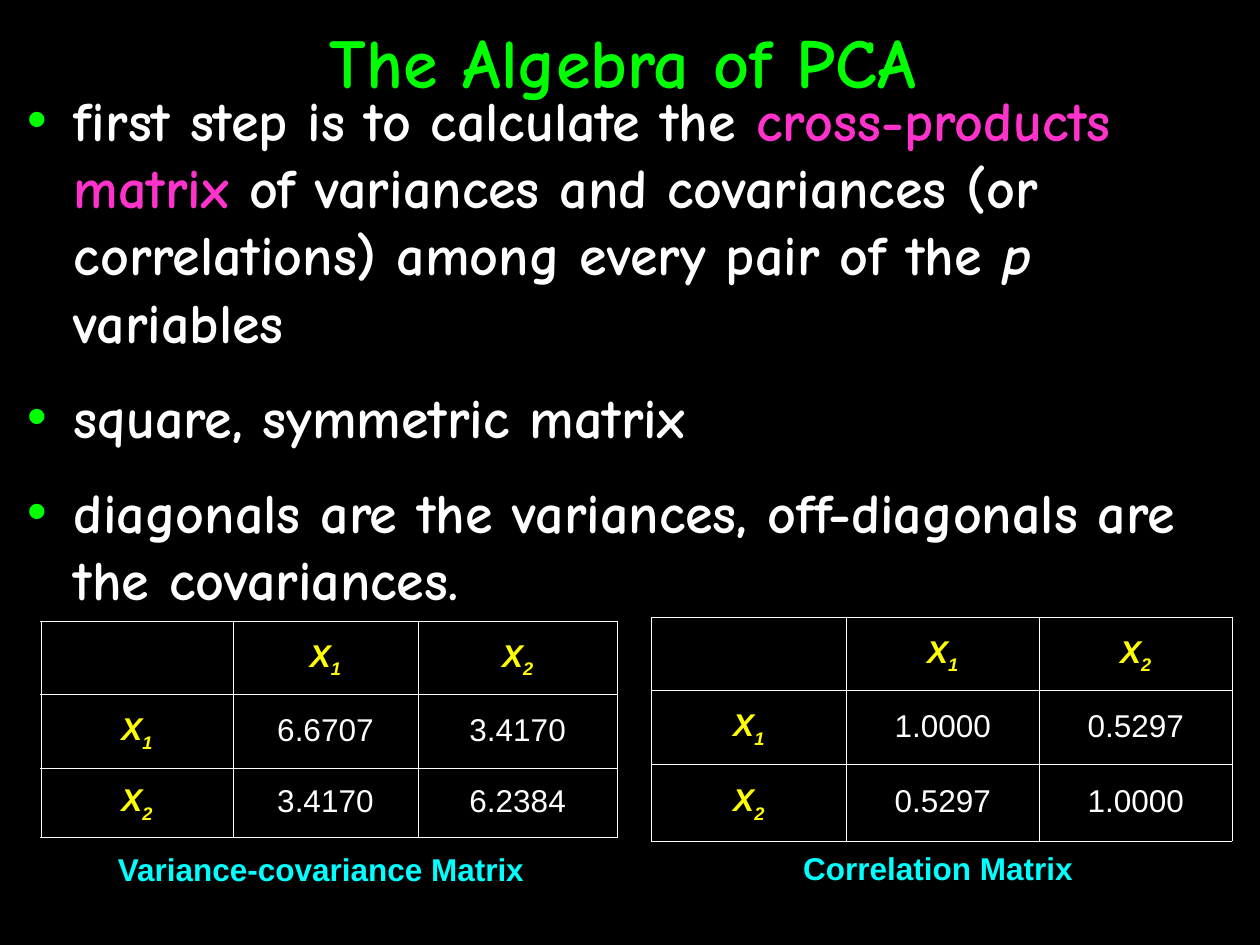
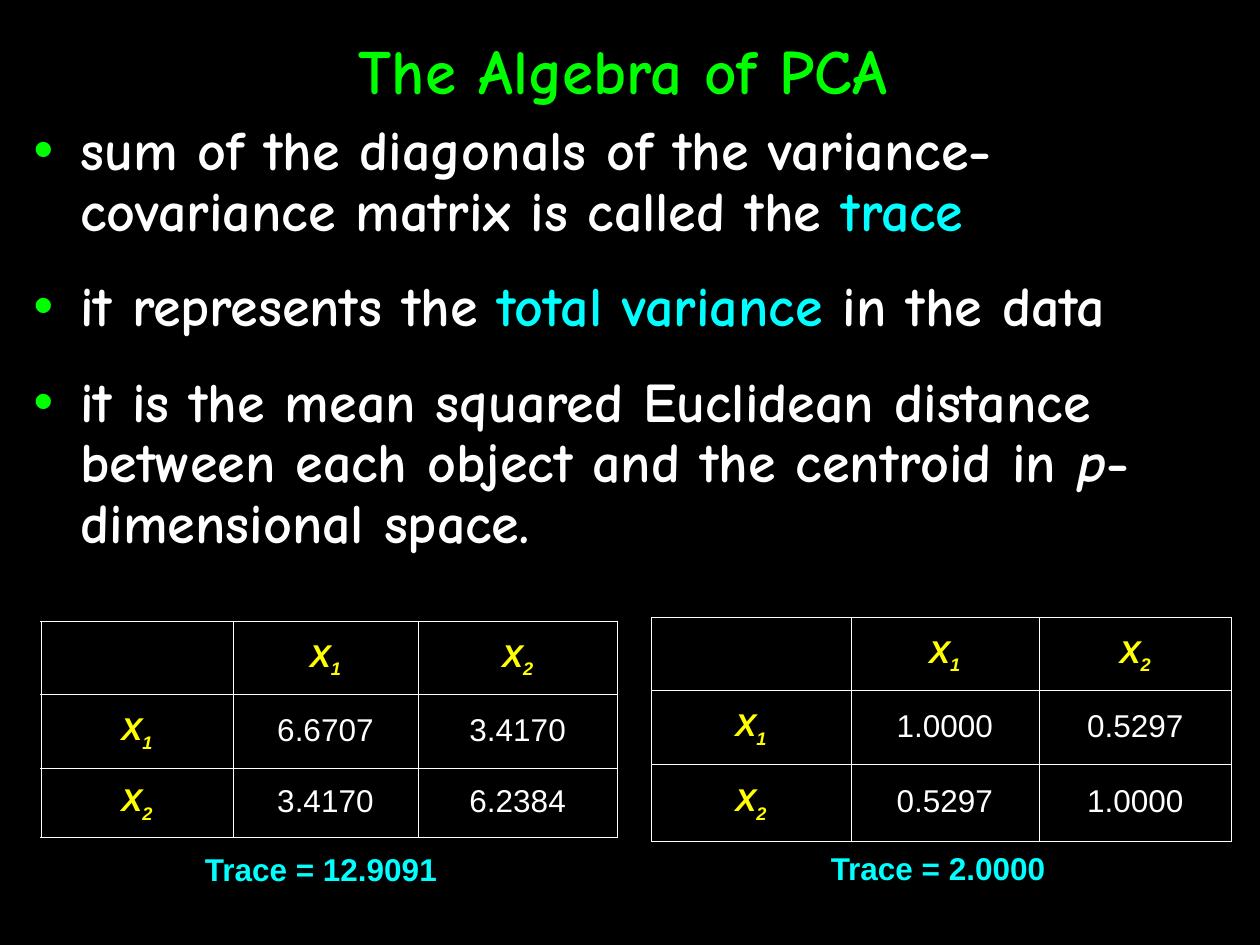
from lxml.etree import SubElement
from pptx import Presentation
from pptx.dml.color import RGBColor
from pptx.enum.text import MSO_ANCHOR, MSO_AUTO_SIZE, PP_ALIGN
from pptx.oxml.ns import qn
from pptx.util import Cm, Pt

BLACK = RGBColor(0x00, 0x00, 0x00)
WHITE = RGBColor(0xFF, 0xFF, 0xFF)
GREEN = RGBColor(0x00, 0xFF, 0x00)
PINK = RGBColor(0xFF, 0x33, 0xCC)
CYAN = RGBColor(0x00, 0xFF, 0xFF)
YELLOW = RGBColor(0xFF, 0xFF, 0x00)
HEADING_FONT = "Comic Neue"
TABLE_FONT = "Arial"
BODY_INDENT = Cm(0.94)
CAPTION_HEIGHT = 1.02

covariances = {
    "left": 0.82, "top": 12.52, "rows": [1.48, 1.48, 1.39],
    "values": [["6.6707", "3.4170"], ["3.4170", "6.2384"]],
    "caption_center": 6.47, "caption_top": 17.02,
}
correlations = {
    "left": 13.13, "top": 12.44, "rows": [1.48, 1.48, 1.55],
    "values": [["1.0000", "0.5297"], ["0.5297", "1.0000"]],
    "caption_center": 18.91, "caption_top": 17,
}
covariance_columns = [3.88, 3.72, 4.03]

slides = [
    {
        "title_size": 40, "title_height": 2.64,
        "body": (0.3, 1.6, 24.97, 16.31),
        "line_spacing": 1.0, "space_before": [20, 16, 16],
        "bullets": [
            [("first step is to calculate the ", WHITE, False),
             ("cross-products matrix", PINK, False),
             (" of variances and covariances (or correlations) among every pair of the ", WHITE, False),
             ("p", WHITE, True),
             (" variables", WHITE, False)],
            [("square, symmetric matrix", WHITE, False)],
            [("diagonals are the variances, off-diagonals are the covariances.", WHITE, False)],
        ],
        "matrices": [
            (covariances, covariance_columns, "Variance-covariance Matrix", 8.74),
            (correlations, [3.93, 3.89, 3.89], "Correlation Matrix", 5.94),
        ],
    },
    {
        "title_size": 36, "title_height": 3,
        "body": (0.43, 2.34, 24.97, 10.59),
        "line_spacing": 0.9, "space_before": [20, 20, 20],
        "bullets": [
            [("sum of the diagonals of the variance-covariance matrix is called the ", WHITE, False),
             ("trace", CYAN, False)],
            [("it represents the ", WHITE, False),
             ("total variance", CYAN, False),
             (" in the data", WHITE, False)],
            [("it is the mean squared Euclidean distance between each object and the centroid in ", WHITE, False),
             ("p", WHITE, True),
             ("-dimensional space.", WHITE, False)],
        ],
        "matrices": [
            (covariances, covariance_columns, "Trace = 12.9091", 5.2),
            (correlations, [4.02, 3.79, 3.89], "Trace = 2.0000", 4.85),
        ],
    },
]


def add_run(paragraph, text, font_name, size, color, bold=True, italic=False):
    run = paragraph.add_run()
    run.text = text
    run.font.name = font_name
    run.font.size = Pt(size)
    run.font.color.rgb = color
    run.font.bold = bold
    run.font.italic = italic
    return run


def add_text_frame(slide, left, top, width, height, wrap=True):
    text_box = slide.shapes.add_textbox(Cm(left), Cm(top), Cm(width), Cm(height))
    text_box.text_frame.word_wrap = wrap
    return text_box.text_frame


presentation = Presentation()
presentation.slide_width = Cm(25.4)
presentation.slide_height = Cm(19.05)

for content in slides:
    slide = presentation.slides.add_slide(presentation.slide_layouts[6])
    slide.background.fill.solid()
    slide.background.fill.fore_color.rgb = BLACK

    title_frame = add_text_frame(slide, 0.1, -0.1, 24.92, content["title_height"])
    title_frame.vertical_anchor = MSO_ANCHOR.MIDDLE
    title = title_frame.paragraphs[0]
    title.alignment = PP_ALIGN.CENTER
    add_run(title, "The Algebra of PCA", HEADING_FONT, content["title_size"], GREEN)

    body_frame = add_text_frame(slide, *content["body"])
    for index, (bullet, space) in enumerate(zip(content["bullets"], content["space_before"])):
        paragraph = body_frame.add_paragraph() if index else body_frame.paragraphs[0]
        paragraph.line_spacing = content["line_spacing"]
        paragraph.space_before = Pt(space)
        properties = paragraph._p.get_or_add_pPr()
        properties.set("marL", str(BODY_INDENT))
        properties.set("indent", str(-BODY_INDENT))
        bullet_color = SubElement(properties, qn("a:buClr"))
        SubElement(bullet_color, qn("a:srgbClr"), val=str(GREEN))
        SubElement(properties, qn("a:buFont"), typeface=TABLE_FONT)
        SubElement(properties, qn("a:buChar"), char="•")
        for text, color, italic in bullet:
            add_run(paragraph, text, HEADING_FONT, 32, color, italic=italic)

    for matrix, columns, caption, caption_width in content["matrices"]:
        rows = matrix["rows"]
        table = slide.shapes.add_table(
            len(rows), len(columns), Cm(matrix["left"]), Cm(matrix["top"]),
            Cm(sum(columns)), Cm(sum(rows))).table
        table.first_row = False
        table.horz_banding = False
        for column, width in zip(table.columns, columns):
            column.width = Cm(width)
        for row_index, height in enumerate(rows):
            table.rows[row_index].height = Cm(height)
            for column_index in range(len(columns)):
                cell = table.cell(row_index, column_index)
                cell.vertical_anchor = MSO_ANCHOR.MIDDLE
                cell_properties = cell._tc.get_or_add_tcPr()
                for side in ("a:lnL", "a:lnR", "a:lnT", "a:lnB"):
                    border = SubElement(cell_properties, qn(side), w=str(Pt(0.23)))
                    border_fill = SubElement(border, qn("a:solidFill"))
                    SubElement(border_fill, qn("a:srgbClr"), val=str(WHITE))
                cell.fill.background()
                paragraph = cell.text_frame.paragraphs[0]
                paragraph.alignment = PP_ALIGN.CENTER
                paragraph.line_spacing = 0.93
                if row_index and column_index:
                    value = matrix["values"][row_index - 1][column_index - 1]
                    add_run(paragraph, value, TABLE_FONT, 18, WHITE, bold=False)
                elif row_index or column_index:
                    add_run(paragraph, "X", TABLE_FONT, 18, YELLOW, italic=True)
                    subscript = add_run(paragraph, str(row_index + column_index),
                                        TABLE_FONT, 18, YELLOW, italic=True)
                    baseline = "-30000" if row_index else "-25000"
                    subscript.font._element.set("baseline", baseline)

        caption_frame = add_text_frame(
            slide, matrix["caption_center"] - caption_width / 2, matrix["caption_top"],
            caption_width, CAPTION_HEIGHT, wrap=False)
        caption_frame.auto_size = MSO_AUTO_SIZE.SHAPE_TO_FIT_TEXT
        caption_paragraph = caption_frame.paragraphs[0]
        caption_paragraph.alignment = PP_ALIGN.CENTER
        add_run(caption_paragraph, caption, TABLE_FONT, 18, CYAN)

presentation.save("out.pptx")
